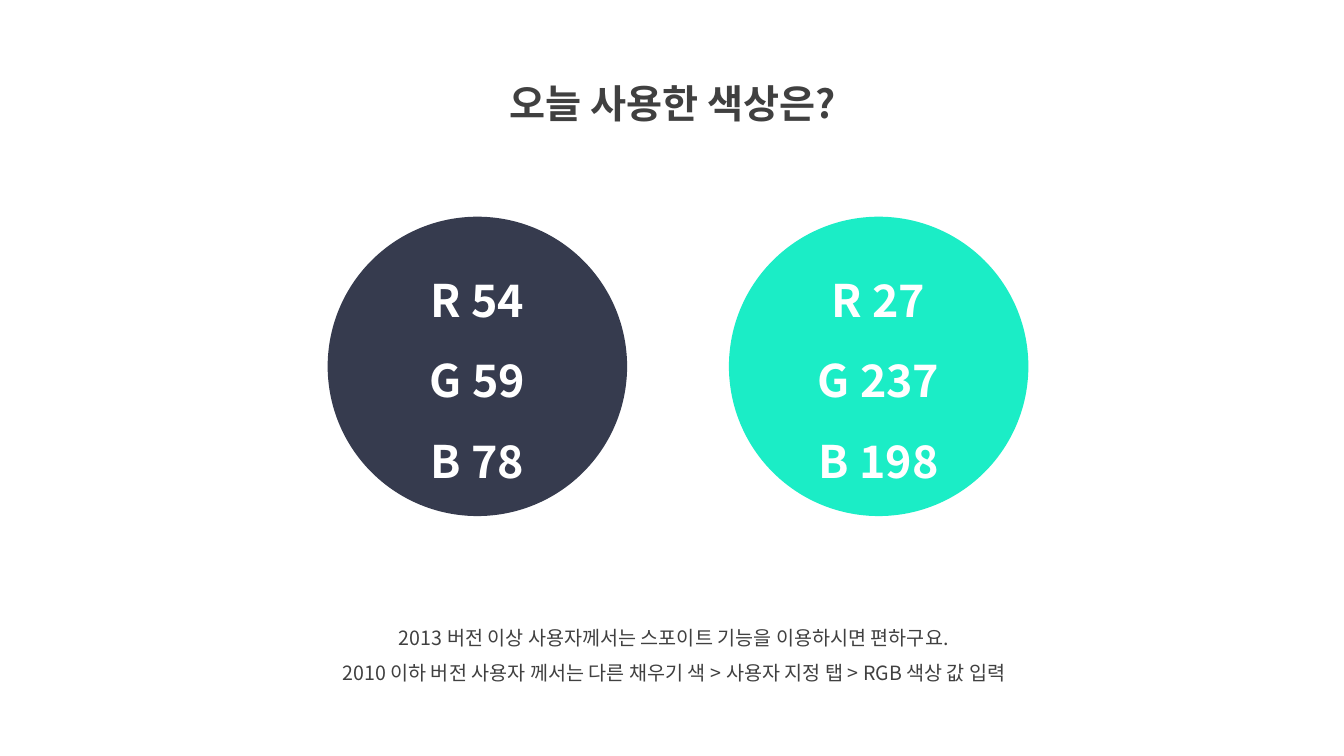
from dataclasses import dataclass

from lxml import etree
from pptx import Presentation
from pptx.dml.color import RGBColor
from pptx.enum.shapes import MSO_SHAPE
from pptx.enum.text import MSO_ANCHOR, MSO_AUTO_SIZE, PP_ALIGN
from pptx.oxml.ns import qn
from pptx.util import Inches, Pt

CENTER = PP_ALIGN.CENTER
TOP, MIDDLE = MSO_ANCHOR.TOP, MSO_ANCHOR.MIDDLE
GROW, NO_FIT = MSO_AUTO_SIZE.SHAPE_TO_FIT_TEXT, MSO_AUTO_SIZE.NONE
OVAL = MSO_SHAPE.OVAL
TITLE_ONLY = 5


@dataclass(frozen=True)
class Theme:
    font: str = "Noto Sans CJK KR"
    ink: RGBColor = RGBColor(64, 64, 64)
    white: RGBColor = RGBColor(255, 255, 255)
    navy: RGBColor = RGBColor(54, 59, 78)
    mint: RGBColor = RGBColor(27, 237, 198)
    title_size: int = 28
    swatch_size: int = 32
    note_size: int = 14
    line_spacing: float = 1.5


@dataclass(frozen=True)
class Swatch:
    left: float
    color: RGBColor


THEME = Theme()
SWATCH_TOP = 2.15
SWATCH_DIAMETER = 2.97
SWATCHES = [Swatch(3.25, THEME.navy), Swatch(7.23, THEME.mint)]
TITLE = "오늘 사용한 색상은?"
NOTES = [
    "2013 버전 이상 사용자께서는 스포이트 기능을 이용하시면 편하구요.",
    "2010 이하 버전 사용자 께서는 다른 채우기 색 > 사용자 지정 탭 > RGB 색상 값 입력",
]


def write_lines(shape, lines: list[str], *, size: int, color: RGBColor,
                bold: bool = False, anchor=TOP, auto_size=GROW) -> None:
    """Fill a shape with centred lines in the theme font."""
    frame = shape.text_frame
    frame.word_wrap = True
    frame.auto_size = auto_size
    frame.vertical_anchor = anchor
    for index, line in enumerate(lines):
        paragraph = frame.add_paragraph() if index else frame.paragraphs[0]
        paragraph.alignment = CENTER
        paragraph.line_spacing = THEME.line_spacing
        paragraph.space_before = Pt(0)
        run = paragraph.add_run()
        run.text = line
        run.font.size = Pt(size)
        run.font.bold = bold
        run.font.color.rgb = color
        run.font.name = THEME.font
        # Korean characters take their font from the East Asian element
        properties = run._r.get_or_add_rPr()
        etree.SubElement(properties, qn("a:ea"), typeface=THEME.font)


def add_swatch(slide, swatch: Swatch) -> None:
    """Draw a colour circle labelled with its own RGB values."""
    circle = slide.shapes.add_shape(
        OVAL, Inches(swatch.left), Inches(SWATCH_TOP),
        Inches(SWATCH_DIAMETER), Inches(SWATCH_DIAMETER))
    circle.shadow.inherit = False
    circle.fill.solid()
    circle.fill.fore_color.rgb = swatch.color
    circle.line.fill.background()
    labels = [f"{channel} {value}" for channel, value in zip("RGB", swatch.color)]
    write_lines(circle, labels, size=THEME.swatch_size, color=THEME.white,
                bold=True, anchor=MIDDLE, auto_size=NO_FIT)


def main() -> None:
    presentation = Presentation()
    presentation.slide_width = Inches(13.33)
    presentation.slide_height = Inches(7.5)
    slide = presentation.slides.add_slide(presentation.slide_layouts[TITLE_ONLY])

    # Title
    title = slide.shapes.title
    title.left, title.top = Inches(4.36), Inches(0.5)
    title.width, title.height = Inches(4.63), Inches(0.72)
    write_lines(title, [TITLE], size=THEME.title_size, color=THEME.ink, bold=True)

    # Usage notes
    notes = slide.shapes.add_textbox(
        Inches(2.69), Inches(6.04), Inches(7.99), Inches(0.81))
    write_lines(notes, NOTES, size=THEME.note_size, color=THEME.ink)

    # Colour swatches
    for swatch in SWATCHES:
        add_swatch(slide, swatch)

    presentation.save("out.pptx")


if __name__ == "__main__":
    main()
